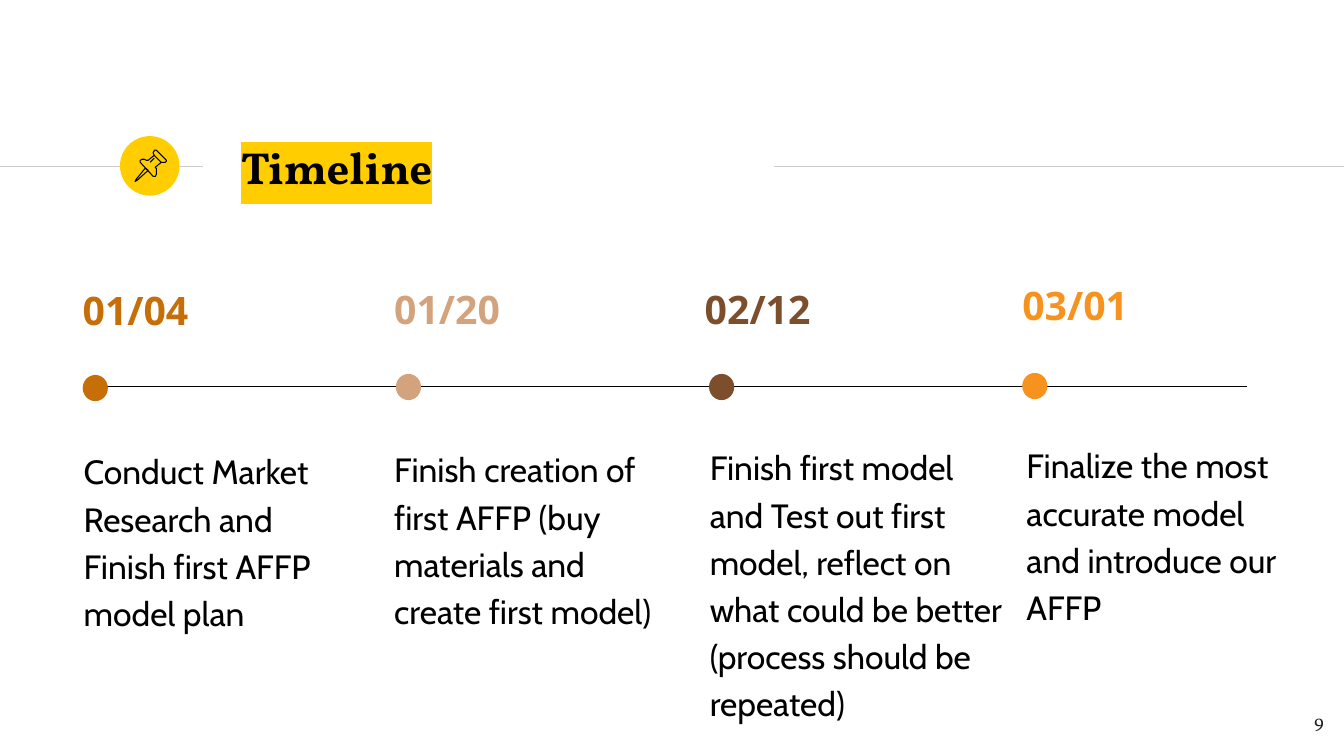
from lxml import etree
from pptx import Presentation
from pptx.dml.color import RGBColor
from pptx.enum.shapes import MSO_CONNECTOR, MSO_SHAPE
from pptx.enum.text import MSO_ANCHOR, PP_ALIGN
from pptx.oxml.ns import qn
from pptx.util import Inches, Pt

STRAIGHT = MSO_CONNECTOR.STRAIGHT
OVAL = MSO_SHAPE.OVAL
TOP, MIDDLE = MSO_ANCHOR.TOP, MSO_ANCHOR.MIDDLE
LEFT, RIGHT = PP_ALIGN.LEFT, PP_ALIGN.RIGHT

# Content
BLACK, YELLOW, RULE_GREY = "000000", "FFCD00", "CCCCCC"
TITLE = "Timeline"
PAGE_NUMBER = "9"

# date, colour, (date left, top), dot top, step, (step left, top, width, height)
MILESTONES = [
    ("01/04", "C66E07", (0.82, 2.75), 3.72,
     "Conduct Market Research and Finish first AFFP model plan",
     (0.83, 4.41, 2.68, 1.82)),
    ("01/20", "D3A37E", (3.91, 2.74), 3.71,
     "Finish creation of first AFFP (buy materials and create first model)",
     (3.91, 4.39, 2.68, 1.82)),
    ("02/12", "7D4E2B", (6.99, 2.74), 3.71,
     "Finish first model and Test out first model, reflect on what could be "
     "better (process should be repeated)",
     (7.04, 4.37, 2.94, 2.76)),
    ("03/01", "F6921D", (10.14, 2.7), 3.7,
     "Finalize the most accurate model and introduce our AFFP",
     (10.18, 4.35, 2.68, 1.82)),
]
FIRST_DOT, DOT_STEP, DOT_SIZE = 0.82, 3.106, (0.25, 0.26)

# Pushpin outlines: points in inches, closed or open
PIN = [
    ([(1.44, 1.67), (1.35, 1.78), (1.34, 1.8), (1.36, 1.79), (1.47, 1.69)], True),
    ([(1.53, 1.54), (1.6, 1.61), (1.62, 1.61), (1.64, 1.61), (1.65, 1.6),
      (1.65, 1.59), (1.55, 1.49), (1.54, 1.49), (1.53, 1.49), (1.53, 1.5),
      (1.52, 1.51), (1.52, 1.52)], True),
    ([(1.53, 1.54), (1.47, 1.59), (1.45, 1.59), (1.43, 1.58), (1.41, 1.58),
      (1.39, 1.59), (1.39, 1.61), (1.52, 1.75), (1.54, 1.75), (1.55, 1.73),
      (1.55, 1.67), (1.54, 1.66), (1.6, 1.61)], False),
    ([(1.49, 1.61), (1.53, 1.57)], False),
]

prs = Presentation()
prs.slide_width, prs.slide_height = Inches(13.33), Inches(7.5)
slide = prs.slides.add_slide(prs.slide_layouts[6])
shapes = slide.shapes


def rgb(color):
    return RGBColor.from_string(color)


def add_rule(x1, x2, y, color):
    rule = shapes.add_connector(STRAIGHT, Inches(x1), Inches(y), Inches(x2), Inches(y))
    rule.line.color.rgb = rgb(color)
    rule.line.width = Pt(0.75)
    etree.SubElement(rule._element.spPr, qn("a:effectLst"))


def add_dot(left, top, width, height, color):
    dot = shapes.add_shape(OVAL, *map(Inches, (left, top, width, height)))
    dot.shadow.inherit = False
    dot.fill.solid()
    dot.fill.fore_color.rgb = rgb(color)
    dot.line.fill.background()


def add_outline(points, closed):
    (start_x, start_y), *rest = [(Inches(x), Inches(y)) for x, y in points]
    builder = shapes.build_freeform(start_x, start_y)
    builder.add_line_segments(rest, close=closed)
    outline = builder.convert_to_shape()
    outline.shadow.inherit = False
    outline.fill.background()
    outline.line.color.rgb = rgb(BLACK)
    outline.line.width = Pt(0.75)


def add_text(text, box, font, size, color, bold=False, inset=0,
             spacing=1.0, align=LEFT, anchor=TOP):
    frame = shapes.add_textbox(*map(Inches, box)).text_frame
    frame.word_wrap = True
    frame.vertical_anchor = anchor
    frame.margin_left = frame.margin_right = Inches(inset)
    frame.margin_top = frame.margin_bottom = Inches(inset)
    paragraph = frame.paragraphs[0]
    paragraph.alignment = align
    paragraph.line_spacing = spacing
    run = paragraph.add_run()
    run.text = text
    run.font.name, run.font.size, run.font.bold = font, Pt(size), bold
    run.font.color.rgb = rgb(color)
    return run


def highlight(run, color):
    mark = etree.Element(qn("a:highlight"))
    etree.SubElement(mark, qn("a:srgbClr"), val=color)
    run.font._element.find(qn("a:solidFill")).addnext(mark)


# Header: rules, pushpin badge and title
add_rule(0, 2.01, 1.65, RULE_GREY)
add_dot(1.19, 1.35, 0.59, 0.59, YELLOW)
add_rule(7.68, 13.33, 1.65, RULE_GREY)
title = add_text(TITLE, (2.26, 1.33, 8.38, 0.64), "Vollkorn", 32, BLACK,
                 bold=True, inset=0.13, anchor=MIDDLE)
highlight(title, YELLOW)
for points, closed in PIN:
    add_outline(points, closed)

# Page number
add_text(PAGE_NUMBER, (12.46, 6.93, 0.8, 0.57), "Vollkorn", 13.3, "1D1D1B",
         inset=0.13, align=RIGHT)

# Timeline: axis, then a date, dot and step for each milestone
add_rule(0.83, 12.37, 3.83, BLACK)
for i, (date, color, date_at, dot_top, step, step_box) in enumerate(MILESTONES):
    add_text(date, (*date_at, 2.44, 0.47), "Noto Sans", 28, color,
             bold=True, spacing=1.2)
    add_dot(FIRST_DOT + i * DOT_STEP, dot_top, *DOT_SIZE, color)
    add_text(step, step_box, "Cabin", 24, BLACK, spacing=1.17)

prs.save("out.pptx")
